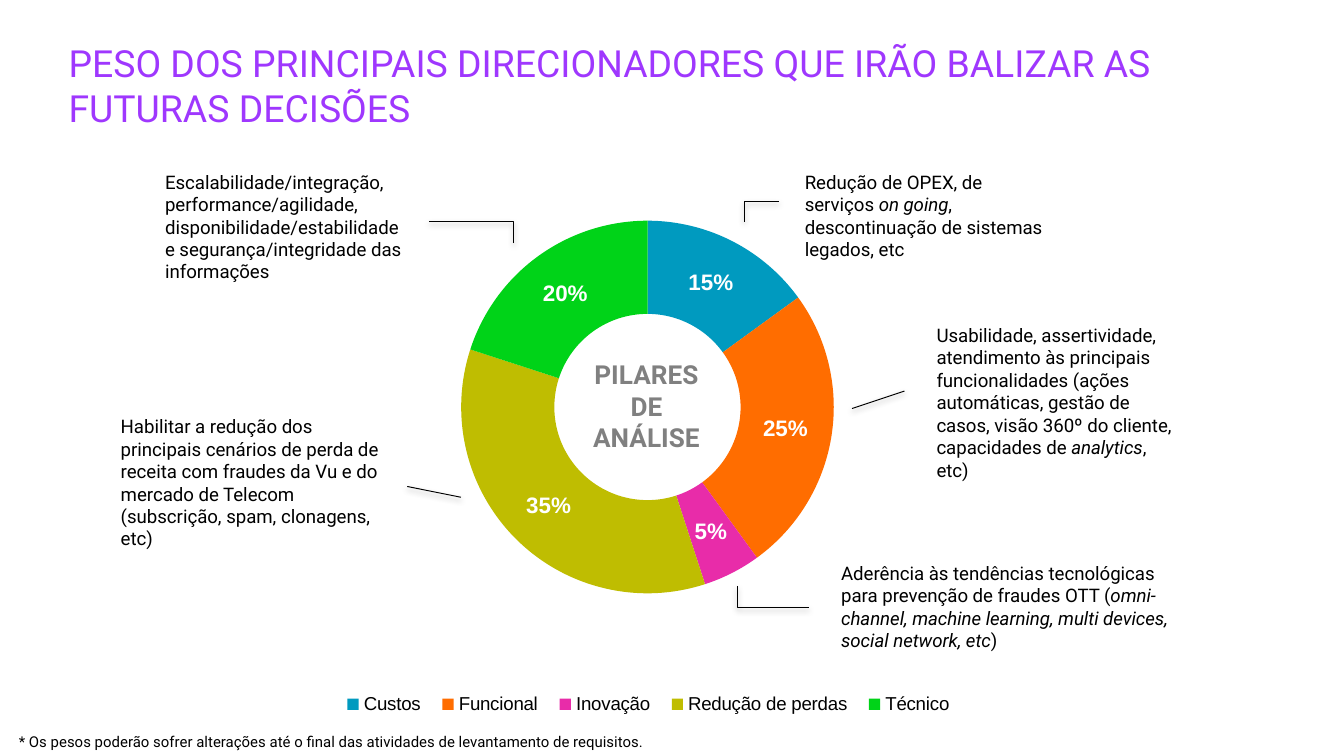
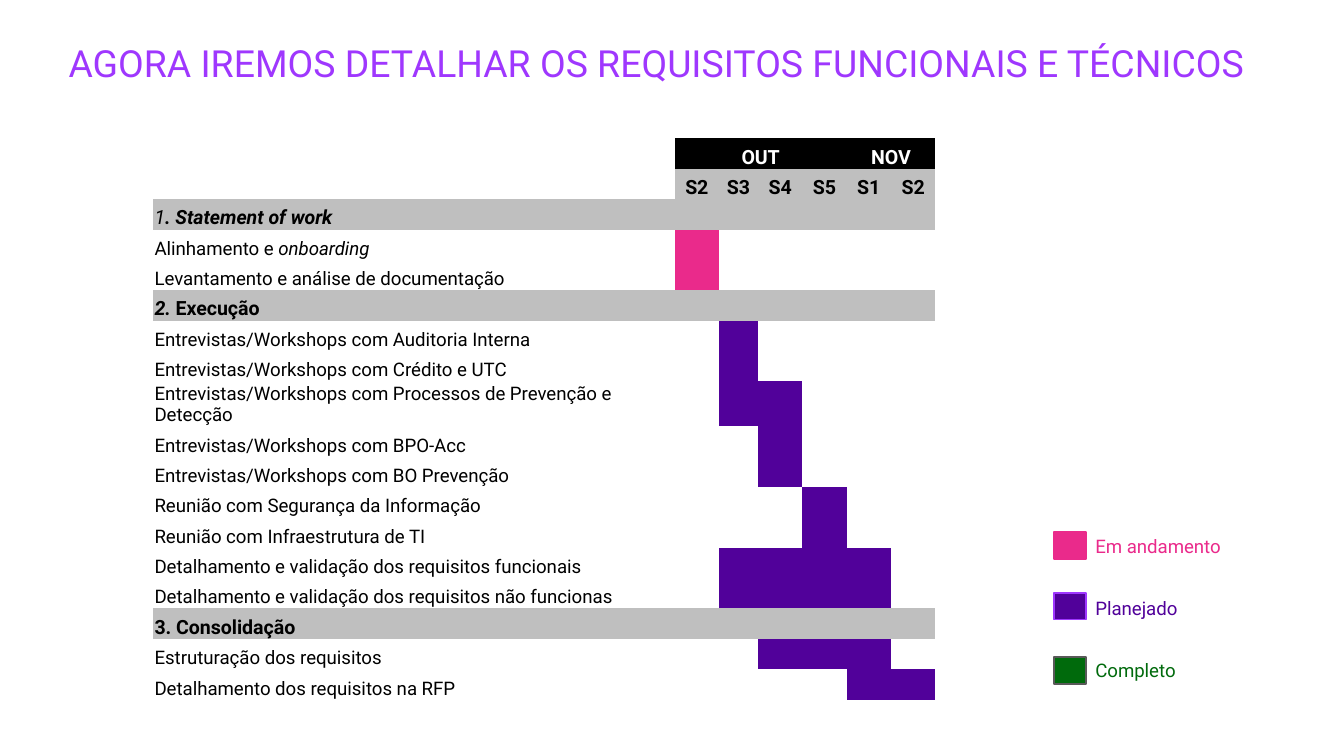
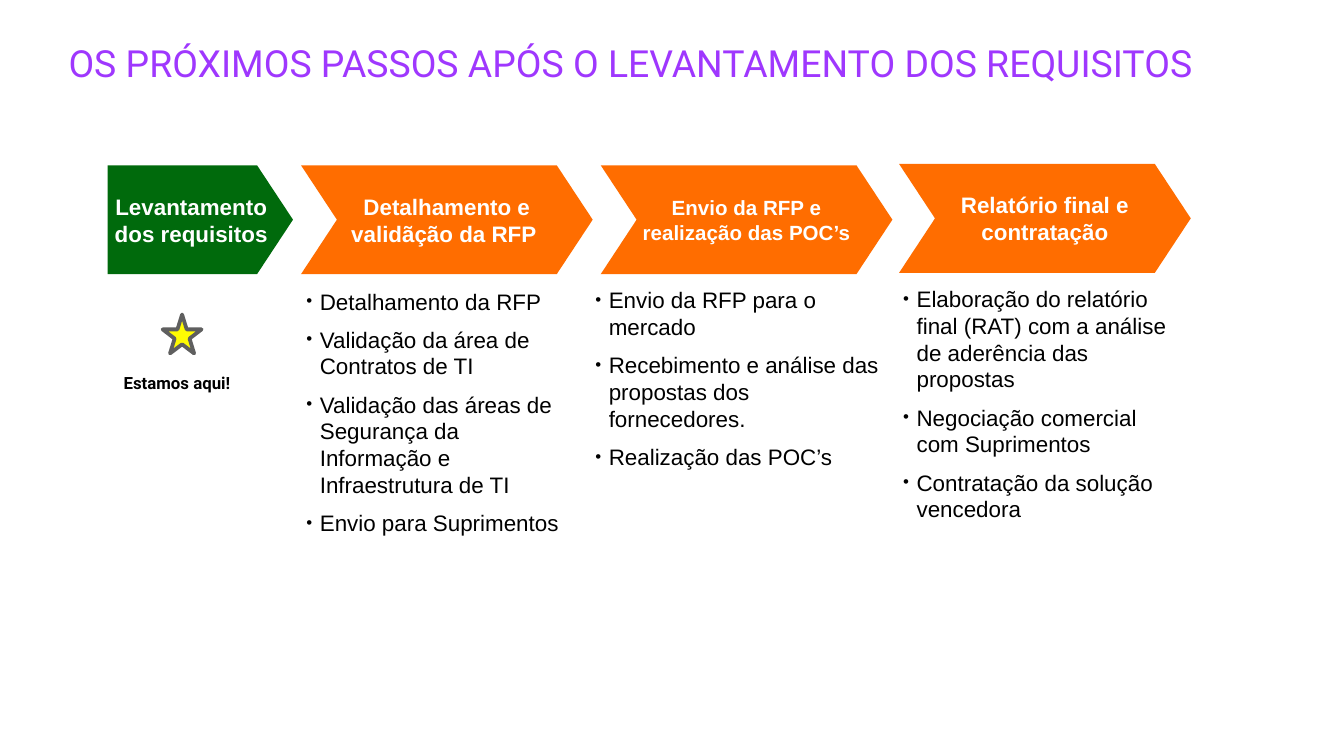
"""Build three slides on requirement drivers, schedule and next steps."""
from lxml.etree import SubElement
from pptx import Presentation
from pptx.chart.data import CategoryChartData
from pptx.dml.color import RGBColor
from pptx.enum.chart import XL_CHART_TYPE, XL_LEGEND_POSITION
from pptx.enum.shapes import MSO_CONNECTOR, MSO_SHAPE
from pptx.enum.text import MSO_ANCHOR, MSO_AUTO_SIZE, PP_ALIGN
from pptx.oxml import parse_xml
from pptx.oxml.ns import nsdecls, qn
from pptx.util import Inches, Pt

COLORS = {
    "title": "9F37FE", "black": "000000", "white": "FFFFFF", "gray": "808080",
    "band": "BFBFBF", "ongoing": "EA2A8B", "planned": "51019A", "done": "006A0C",
    "outline": "595959", "orange": "FF6D00", "blue": "009ABF", "pink": "E82CA9",
    "olive": "BFBD01", "green": "00D318", "star": "FEFB02", "star_edge": "5F5F5F",
}
RGB = {name: RGBColor.from_string(value) for name, value in COLORS.items()}


def write(paragraph, text, size, color="black", font="Roboto", bold=False, italic=False):
    run = paragraph.add_run()
    run.text = text
    run.font.size = Pt(size)
    run.font.name = font
    run.font.bold = bold
    run.font.italic = italic
    run.font.color.rgb = RGB[color]


def set_frame(shape, side=0, edge=0, wrap=True, anchor=MSO_ANCHOR.TOP):
    frame = shape.text_frame
    frame.auto_size = MSO_AUTO_SIZE.NONE
    frame.word_wrap = wrap
    frame.vertical_anchor = anchor
    frame.margin_left = frame.margin_right = Inches(side)
    frame.margin_top = frame.margin_bottom = Inches(edge)
    return frame


prs = Presentation()
prs.slide_width, prs.slide_height = Inches(10), Inches(10) * 9 // 16

slides = []
for layout, heading in [
    (5, "PESO DOS PRINCIPAIS DIRECIONADORES QUE IRÃO BALIZAR AS FUTURAS DECISÕES"),
    (5, "AGORA IREMOS DETALHAR OS REQUISITOS FUNCIONAIS E TÉCNICOS"),
    (4, "OS PRÓXIMOS PASSOS APÓS O LEVANTAMENTO DOS REQUISITOS"),
]:
    slide = prs.slides.add_slide(prs.slide_layouts[layout])
    title = slide.shapes.title
    title.left, title.top, title.width, title.height = map(Inches, (0.51, 0.3, 8.98, 0.78))
    paragraph = set_frame(title).paragraphs[0]
    paragraph.alignment = PP_ALIGN.LEFT
    write(paragraph, heading, 20, "title")
    slides.append(slide)
drivers, schedule, steps = slides

pillars = [("Custos", 15, "blue"), ("Funcional", 25, "orange"), ("Inovação", 5, "pink"),
           ("Redução de perdas", 35, "olive"), ("Técnico", 20, "green")]
weights = CategoryChartData(number_format='0"%"')
weights.categories = [name for name, _, _ in pillars]
weights.add_series("Series 1", [weight for _, weight, _ in pillars])
doughnut = drivers.shapes.add_chart(
    XL_CHART_TYPE.DOUGHNUT, Inches(1.46), Inches(1.22), Inches(6.73), Inches(4.37), weights).chart
doughnut.has_title = False
doughnut.font.size = Pt(10)
doughnut.font.name = "Arial"
doughnut.font.color.rgb = RGB["black"]
doughnut.has_legend = True
doughnut.legend.position = XL_LEGEND_POSITION.BOTTOM
doughnut.legend.include_in_layout = False
ring = doughnut.plots[0]
ring.vary_by_categories = True
for index, (_, _, color) in enumerate(pillars):
    slice_fill = ring.series[0].points[index].format.fill
    slice_fill.solid()
    slice_fill.fore_color.rgb = RGB[color]
ring.has_data_labels = True
percents = ring.data_labels
percents.show_value = True
percents.show_percentage = False
percents.number_format = '0"%"'
percents.number_format_is_linked = False
percents.font.size = Pt(12)
percents.font.bold = True
percents.font.color.rgb = RGB["white"]
chart_root = doughnut._chartSpace.chart
for region, position, target, (x, y, w, h) in [
    (chart_root.plotArea, 0, '<c:layoutTarget val="inner"/>', (0.293, 0.096, 0.412, 0.636)),
    (chart_root.find(qn("c:legend")), 1, "", (0.15, 0.89, 0.7, 0.06)),
]:
    for old_layout in region.findall(qn("c:layout")):
        region.remove(old_layout)
    region.insert(position, parse_xml(
        f'<c:layout {nsdecls("c")}><c:manualLayout>{target}'
        f'<c:xMode val="edge"/><c:yMode val="edge"/><c:x val="{x}"/><c:y val="{y}"/>'
        f'<c:w val="{w}"/><c:h val="{h}"/></c:manualLayout></c:layout>'))

for box, pieces in [
    ((5.89, 1.22, 2.03, 0.61), ["Redução de OPEX, de serviços ", "on going",
                                ", descontinuação de sistemas legados, etc"]),
    ((1.13, 1.22, 2.03, 0.94), ["Escalabilidade/integração, performance/agilidade, "
                                "disponibilidade/estabilidade e segurança/integridade das informações"]),
    ((6.87, 2.36, 2.03, 1.11), ["Usabilidade, assertividade, atendimento às principais funcionalidades "
                                "(ações automáticas, gestão de casos, visão 360º do cliente, "
                                "capacidades de ", "analytics", ", etc)"]),
    ((6.16, 4.13, 2.72, 0.77), ["Aderência às tendências tecnológicas para prevenção de fraudes OTT (",
                                "omni-channel, machine learning, multi devices, social network, etc", ")"]),
    ((0.8, 3.04, 2.18, 0.94), ["Habilitar a redução dos principais cenários de perda de receita com fraudes "
                               "da Vu e do mercado de Telecom (subscrição, spam, clonagens, etc)"]),
]:
    note = drivers.shapes.add_textbox(*map(Inches, box))
    paragraph = set_frame(note, 0.1, 0.05).paragraphs[0]
    for index, piece in enumerate(pieces):
        write(paragraph, piece, 10, italic=index % 2 == 1)

for kind, ends in [
    (MSO_CONNECTOR.ELBOW, (5.54, 1.65, 5.8, 1.5)),
    (MSO_CONNECTOR.ELBOW, (3.82, 1.81, 3.19, 1.65)),
    (MSO_CONNECTOR.STRAIGHT, (6.34, 3.04, 6.73, 2.91)),
    (MSO_CONNECTOR.ELBOW, (5.49, 4.36, 6.02, 4.52)),
    (MSO_CONNECTOR.STRAIGHT, (3.03, 3.62, 3.43, 3.7)),
]:
    leader = drivers.shapes.add_connector(kind, *map(Inches, ends))
    leader.line.color.rgb = RGB["black"]
    leader.line.width = Pt(0.5)
    properties = leader._element.spPr
    if kind == MSO_CONNECTOR.ELBOW:
        guides = properties.find(qn("a:prstGeom")).find(qn("a:avLst"))
        SubElement(guides, qn("a:gd"), name="adj1", fmla="val 0")
    properties.append(parse_xml(
        f'<a:effectLst {nsdecls("a")}><a:outerShdw blurRad="39370" dist="20320" dir="5400000" '
        f'rotWithShape="0"><a:srgbClr val="{COLORS["black"]}"><a:alpha val="38000"/></a:srgbClr>'
        '</a:outerShdw></a:effectLst>'))

center = drivers.shapes.add_textbox(Inches(4.3), Inches(2.63), Inches(1.02), Inches(0.79))
paragraph = set_frame(center, 0.04, 0.04).paragraphs[0]
paragraph.alignment = PP_ALIGN.CENTER
write(paragraph, "PILARES DE ANÁLISE", 14, "gray", bold=True)
footnote = drivers.shapes.add_textbox(Inches(0.1), Inches(5.41), Inches(4.8), Inches(0.21))
write(set_frame(footnote, 0.04, 0.04, wrap=False).paragraphs[0],
      "* Os pesos poderão sofrer alterações até o final das atividades de levantamento de requisitos.", 8)

for top, text_top, status, color, edge in [
    (3.96, 3.98, "Em andamento", "ongoing", "ongoing"),
    (4.41, 4.44, "Planejado", "planned", "title"),
    (4.89, 4.9, "Completo", "done", "outline"),
]:
    swatch = schedule.shapes.add_shape(
        MSO_SHAPE.RECTANGLE, Inches(7.84), Inches(top), Inches(0.24), Inches(0.2))
    swatch.shadow.inherit = False
    swatch.fill.solid()
    swatch.fill.fore_color.rgb = RGB[color]
    swatch.line.color.rgb = RGB[edge]
    swatch.line.width = Pt(1)
    meaning = schedule.shapes.add_textbox(Inches(8.15), Inches(text_top), Inches(1.06), Inches(0.19))
    write(set_frame(meaning).paragraphs[0], status, 10, color)

workshop = "Entrevistas/Workshops com "
tasks = [
    ([("1", False, True), (". Statement of work", True, True)], "band", 1, 6),
    ([("Alinhamento e ", False, False), ("onboarding", False, True)], "ongoing", 1, 1),
    ("Levantamento e análise de documentação", "ongoing", 1, 1),
    ([("2. ", True, True), ("Execução", True, False)], "band", 1, 6),
    (workshop + "Auditoria Interna", "planned", 2, 2),
    (workshop + "Crédito e UTC", "planned", 2, 2),
    (workshop + "Processos de Prevenção e Detecção", "planned", 2, 3),
    (workshop + "BPO-Acc", "planned", 3, 3),
    (workshop + "BO Prevenção", "planned", 3, 3),
    ("Reunião com Segurança da Informação", "planned", 4, 4),
    ("Reunião com Infraestrutura de TI", "planned", 4, 4),
    ("Detalhamento e validação dos requisitos funcionais", "planned", 2, 5),
    ("Detalhamento e validação dos requisitos não funcionas", "planned", 2, 5),
    ([("3. Consolidação", True, False)], "band", 1, 6),
    ("Estruturação dos requisitos", "planned", 3, 5),
    ("Detalhamento dos requisitos na RFP", "planned", 5, 6),
]
gantt_frame = schedule.shapes.add_table(
    len(tasks) + 2, 7, Inches(1.14), Inches(1.03), Inches(5.83), Inches(4.07))
gantt = gantt_frame.table
gantt._tbl.tblPr.find(qn("a:tableStyleId")).text = "{2D5ABB26-0587-4C30-8999-92F81FD0307C}"
gantt.first_row = gantt.horz_banding = False
for column, width in zip(gantt.columns, [3.88, 0.33, 0.29, 0.33, 0.33, 0.33, 0.33]):
    column.width = Inches(width)

fills = [["white"] + ["black"] * 6, ["white"] + ["band"] * 6]
for _, color, first, last in tasks:
    fills.append(["band" if color == "band" else "white"]
                 + [color if first <= week <= last else "white" for week in range(1, 7)])
for row, row_fills in enumerate(fills):
    for column, color in enumerate(row_fills):
        cell = gantt.cell(row, column)
        cell.fill.solid()
        cell.fill.fore_color.rgb = RGB[color]
        cell.vertical_anchor = MSO_ANCHOR.BOTTOM
        cell.margin_left = cell.margin_right = cell.margin_top = Inches(0.01)
        cell.margin_bottom = 0

headers = [(0, 1, "OUT", "white"), (0, 5, "NOV", "white")]
headers += [(1, week, name, "black")
            for week, name in enumerate(["S2", "S3", "S4", "S5", "S1", "S2"], 1)]
for row, column, name, color in headers:
    paragraph = gantt.cell(row, column).text_frame.paragraphs[0]
    paragraph.alignment = PP_ALIGN.CENTER
    write(paragraph, name, 10.5, color, bold=True)
for row, (runs, color, _, _) in enumerate(tasks, 2):
    paragraph = gantt.cell(row, 0).text_frame.paragraphs[0]
    for text, bold, italic in [(runs, False, False)] if isinstance(runs, str) else runs:
        write(paragraph, text, 10.5 if color == "band" else 10, bold=bold, italic=italic)
for cell in gantt.iter_cells():
    if not cell.text_frame.text:
        SubElement(cell.text_frame.paragraphs[0]._p, qn("a:endParaRPr"), sz="1000")
gantt.cell(0, 1).merge(gantt.cell(0, 4))
gantt.cell(0, 5).merge(gantt.cell(0, 6))
for row in gantt.rows:
    row.height = Inches(4.07) // len(fills)

for kind, left, top, width, color, stage, size in [
    (MSO_SHAPE.PENTAGON, 0.8, 1.23, 1.38, "done", "Levantamento dos requisitos", 12),
    (MSO_SHAPE.CHEVRON, 2.24, 1.23, 2.17, "orange", "Detalhamento e validãção da RFP ", 12),
    (MSO_SHAPE.CHEVRON, 4.47, 1.23, 2.17, "orange", "Envio da RFP e realização das POC’s", 11),
    (MSO_SHAPE.CHEVRON, 6.69, 1.22, 2.17, "orange", "Relatório final e contratação", 12),
]:
    arrow = steps.shapes.add_shape(kind, Inches(left), Inches(top), Inches(width), Inches(0.81))
    arrow.adjustments[0] = 0.33
    arrow.shadow.inherit = False
    arrow.fill.solid()
    arrow.fill.fore_color.rgb = RGB[color]
    arrow.line.fill.background()
    paragraph = set_frame(arrow, 0.04, anchor=MSO_ANCHOR.MIDDLE).paragraphs[0]
    paragraph.alignment = PP_ALIGN.CENTER
    write(paragraph, stage, size, "white", "Arial", bold=True)

bodies = {body.placeholder_format.idx: body for body in steps.placeholders}
for idx, left, top, width, activities in [
    (1, 2.28, 2.14, 1.97, ["Detalhamento da RFP", "Validação da área de Contratos de TI",
                           "Validação das áreas de Segurança da Informação e Infraestrutura de TI",
                           "Envio para Suprimentos"]),
    (2, 4.43, 2.13, 2.13, ["Envio da RFP para o mercado",
                           "Recebimento e análise das propostas dos fornecedores.",
                           "Realização das POC’s"]),
    (4, 6.72, 2.12, 1.97, ["Elaboração do relatório final (RAT) com a análise de aderência das propostas",
                           "Negociação comercial com Suprimentos",
                           "Contratação da solução vencedora"]),
]:
    body = bodies[idx]
    body.left, body.top, body.width, body.height = map(Inches, (left, top, width, 2.89))
    frame = set_frame(body)
    for index, activity in enumerate(activities):
        paragraph = frame.add_paragraph() if index else frame.paragraphs[0]
        paragraph.space_before = Pt(0)
        paragraph.space_after = Pt(6)
        bullet = paragraph._p.get_or_add_pPr()
        bullet.set("marL", str(Inches(0.1)))
        bullet.set("indent", str(-Inches(0.1)))
        SubElement(SubElement(bullet, qn("a:buClr")), qn("a:srgbClr"), val=COLORS["black"])
        SubElement(bullet, qn("a:buSzPct"), val="75000")
        SubElement(bullet, qn("a:buFont"), typeface="Arial")
        SubElement(bullet, qn("a:buChar"), char="•")
        write(paragraph, activity, 12, font="Arial")
unused = bodies[3]._element
unused.getparent().remove(unused)

star = steps.shapes.add_shape(
    MSO_SHAPE.STAR_5_POINT, Inches(1.21), Inches(2.34), Inches(0.29), Inches(0.29))
star.shadow.inherit = False
star.fill.solid()
star.fill.fore_color.rgb = RGB["star"]
star.line.color.rgb = RGB["star_edge"]
star.line.width = Pt(2)
here = steps.shapes.add_textbox(Inches(0.88), Inches(2.73), Inches(0.94), Inches(0.23))
write(set_frame(here, 0.04, 0.04, wrap=False).paragraphs[0], "Estamos aqui!", 9, bold=True)

prs.save("out.pptx")
